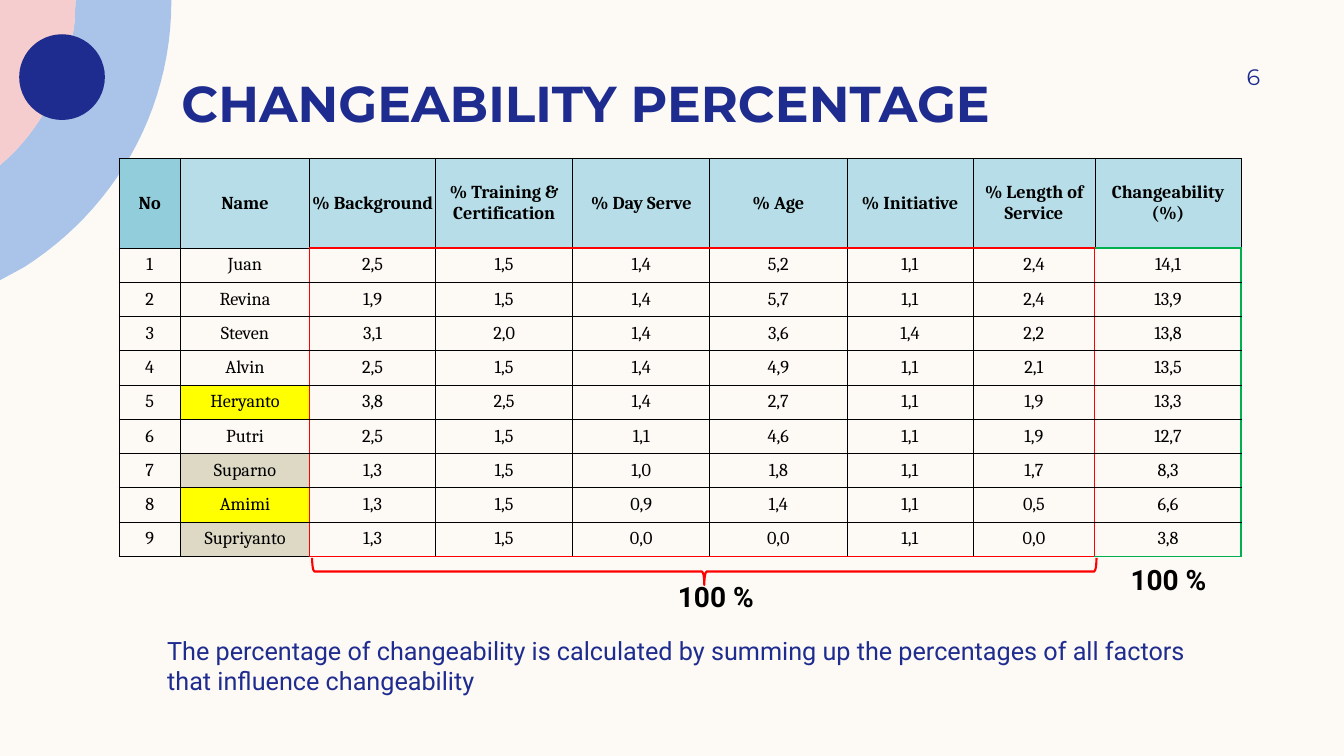
from lxml.etree import SubElement as Sub
from pptx import Presentation
from pptx.dml.color import RGBColor as Rgb
from pptx.enum.shapes import MSO_SHAPE as Shape
from pptx.enum.text import MSO_ANCHOR as Anchor, MSO_AUTO_SIZE as Auto, PP_ALIGN as Align
from pptx.oxml.ns import qn
from pptx.util import Inches, Pt

HEX = {
    "paper": "FDFAF6", "navy": "1F2C8F", "blue": "AAC3E8", "pink": "F5CDCE",
    "black": "000000", "red": "FF0000", "green": "00B050", "teal": "92CDDC",
    "aqua": "B7DEE8", "yellow": "FFFF00", "sand": "DDD9C4",
}
TITLE = {"name": "Montserrat", "size": 36, "color": "navy", "bold": True}
PAGE = {"name": "Montserrat", "size": 16, "color": "navy", "bold": False}
NOTE = {"name": "Roboto", "size": 18, "color": "navy", "bold": False}
TOTAL = {"name": "Roboto", "size": 20, "color": "black", "bold": True}
HEAD = {"name": "Cambria", "size": 13, "color": "black", "bold": True}
BODY = {**HEAD, "bold": False}

# Outlines in inches: a pair is a line end, a triple of pairs is a curve
BAND = [(0.75, 0), (1.7, 0), (1.7, 0.01), ((1.7, 1.12), (1.12, 2.09), (0.24, 2.65)),
        (0, 2.78), (0, 1.64), (0.11, 1.54), ((0.46, 1.19), (0.68, 0.73), (0.74, 0.22))]
CORE = [(0, 0), (0.75, 0), (0.74, 0.22), ((0.68, 0.73), (0.46, 1.19), (0.11, 1.54)),
        (0, 1.64)]

COLS = [0.61, 1.28, 1.25, 1.36, 1.36, 1.36, 1.25, 1.21, 1.45]
HEAD_H, ROW_H = 0.89, 0.34
LABELS = ["No", "Name", "% Background", "% Training & Certification", "% Day Serve",
          "% Age", "% Initiative", "% Length of Service", "Changeability (%)"]
PEOPLE = [
    "Juan 2,5 1,5 1,4 5,2 1,1 2,4 14,1",
    "Revina 1,9 1,5 1,4 5,7 1,1 2,4 13,9",
    "Steven 3,1 2,0 1,4 3,6 1,4 2,2 13,8",
    "Alvin 2,5 1,5 1,4 4,9 1,1 2,1 13,5",
    "Heryanto 3,8 2,5 1,4 2,7 1,1 1,9 13,3",
    "Putri 2,5 1,5 1,1 4,6 1,1 1,9 12,7",
    "Suparno 1,3 1,5 1,0 1,8 1,1 1,7 8,3",
    "Amimi 1,3 1,5 0,9 1,4 1,1 0,5 6,6",
    "Supriyanto 1,3 1,5 0,0 0,0 1,1 0,0 3,8",
]
MARKS = {"Heryanto": "yellow", "Amimi": "yellow", "Suparno": "sand", "Supriyanto": "sand"}


def rgb(name):
    return Rgb.from_string(HEX[name])


def write(frame, text, style, align=Align.LEFT):
    para = frame.paragraphs[0]
    para.alignment = align
    run = para.add_run()
    run.text = text
    values = {**style, "size": Pt(style["size"])}
    run.font.color.rgb = rgb(values.pop("color"))
    for key, value in values.items():
        setattr(run.font, key, value)


def setup(frame, anchor=Anchor.TOP, pads=(0.1, 0.05, 0.1, 0.05)):
    """Set wrapping, anchor and insets (left, top, right, bottom)."""
    values = {"word_wrap": True, "auto_size": Auto.NONE, "vertical_anchor": anchor}
    for side, pad in zip(("left", "top", "right", "bottom"), pads):
        values["margin_" + side] = Inches(pad)
    for key, value in values.items():
        setattr(frame, key, value)


def add_text(slide, box, text, style, align=Align.LEFT, **frame_opts):
    frame = slide.shapes.add_textbox(*map(Inches, box)).text_frame
    setup(frame, **frame_opts)
    write(frame, text, style, align)


def add_title(slide, box, text):
    title = slide.shapes.title
    for key, value in zip(("left", "top", "width", "height"), box):
        setattr(title, key, Inches(value))
    setup(title.text_frame, Anchor.BOTTOM, (0.1, 0, 0.1, 0))
    write(title.text_frame, text, TITLE)


def paint(shape, color):
    shape.shadow.inherit = False
    shape.fill.solid()
    shape.fill.fore_color.rgb = rgb(color)
    shape.line.fill.background()


def trace(outline, steps=24):
    """Turn lines and cubic curves into a list of points."""
    points = []
    for part in outline:
        if not isinstance(part[0], tuple):
            points.append(part)
            continue
        ends = (points[-1], *part)
        for i in range(1, steps + 1):
            t = i / steps
            u = 1 - t
            weights = (u ** 3, 3 * u * u * t, 3 * u * t * t, t ** 3)
            points.append(tuple(sum(w * p[k] for w, p in zip(weights, ends))
                                for k in (0, 1)))
    return [(Inches(x), Inches(y)) for x, y in points]


def add_arc(slide, outline, color):
    first, *rest = trace(outline)
    pen = slide.shapes.build_freeform(*first)
    pen.add_line_segments(rest, close=True)
    paint(pen.convert_to_shape(), color)


def add_dot(slide, box, color):
    paint(slide.shapes.add_shape(Shape.OVAL, *map(Inches, box)), color)


def add_brace(slide, box):
    brace = slide.shapes.add_shape(Shape.RIGHT_BRACE, *map(Inches, box))
    brace.rotation = 90
    brace.shadow.inherit = False
    brace.fill.background()
    brace.line.color.rgb = rgb("red")
    brace.line.width = Pt(1.5)


def upright(x, row):
    """Colour of the vertical rule at column edge x."""
    return {2: "red", 8: "red", 9: "green"}.get(x, "black") if row else "black"


def level(y, col):
    """Colour of the horizontal rule at row edge y."""
    if y in (1, len(PEOPLE) + 1) and col > 1:
        return "green" if col == 8 else "red"
    return "black"


def rule(cell, row, col):
    edges = {"lnL": upright(col, row), "lnR": upright(col + 1, row),
             "lnT": level(row, col), "lnB": level(row + 1, col)}
    props = cell._tc.get_or_add_tcPr()
    for tag, color in edges.items():
        width = Pt(0.5 if color == "black" else 1)
        line = Sub(props, qn("a:" + tag), w=str(width))
        Sub(Sub(line, qn("a:solidFill")), qn("a:srgbClr"), val=HEX[color])


def shade(cell, row, col, text):
    color = MARKS.get(text) if row else ("aqua" if col else "teal")
    if color:
        cell.fill.solid()
        cell.fill.fore_color.rgb = rgb(color)
    else:
        cell.fill.background()


def add_grid(slide, left, top):
    rows = [LABELS] + [[str(i), *line.split()] for i, line in enumerate(PEOPLE, 1)]
    heights = [HEAD_H] + [ROW_H] * len(PEOPLE)
    box = map(Inches, (left, top, sum(COLS), sum(heights)))
    table = slide.shapes.add_table(len(rows), len(COLS), *box).table
    table.first_row = table.horz_banding = False
    for col, width in zip(table.columns, COLS):
        col.width = Inches(width)
    for r, (texts, height) in enumerate(zip(rows, heights)):
        table.rows[r].height = Inches(height)
        for c, text in enumerate(texts):
            cell = table.cell(r, c)
            cell.margin_left = cell.margin_right = cell.margin_top = cell.margin_bottom = 0
            cell.vertical_anchor = Anchor.MIDDLE
            write(cell.text_frame, text, BODY if r else HEAD, Align.CENTER)
            rule(cell, r, c)
            shade(cell, r, c, text)


def main():
    deck = Presentation()
    deck.slide_width, deck.slide_height = Inches(13.33), Inches(7.5)
    slide = deck.slides.add_slide(deck.slide_layouts[5])
    slide.background.fill.solid()
    slide.background.fill.fore_color.rgb = rgb("paper")

    add_arc(slide, BAND, "blue")
    add_arc(slide, CORE, "pink")
    add_dot(slide, (0.19, 0.34, 0.85, 0.85), "navy")
    add_title(slide, (1.7, 0.25, 10.8, 1.07), "CHANGEABILITY PERCENTAGE")
    add_text(slide, (1.56, 6.3, 10.62, 0.94),
             "The percentage of changeability is calculated by summing up the "
             "percentages of all factors that influence changeability",
             NOTE, pads=(0.1, 0, 0.1, 0))
    add_text(slide, (11.33, 0.5, 1.17, 0.52), "6", PAGE, Align.RIGHT,
             anchor=Anchor.MIDDLE, pads=(0.1, 0.05, 0, 0.05))
    add_grid(slide, 1.18, 1.57)
    for box in ((5.09, 5.7, 4.02, 0.44), (10.87, 5.53, 1.44, 0.44)):
        add_text(slide, box, "100 %", TOTAL, Align.CENTER)
    add_brace(slide, (6.85, 1.78, 0.27, 7.78))
    deck.save("out.pptx")


if __name__ == "__main__":
    main()
